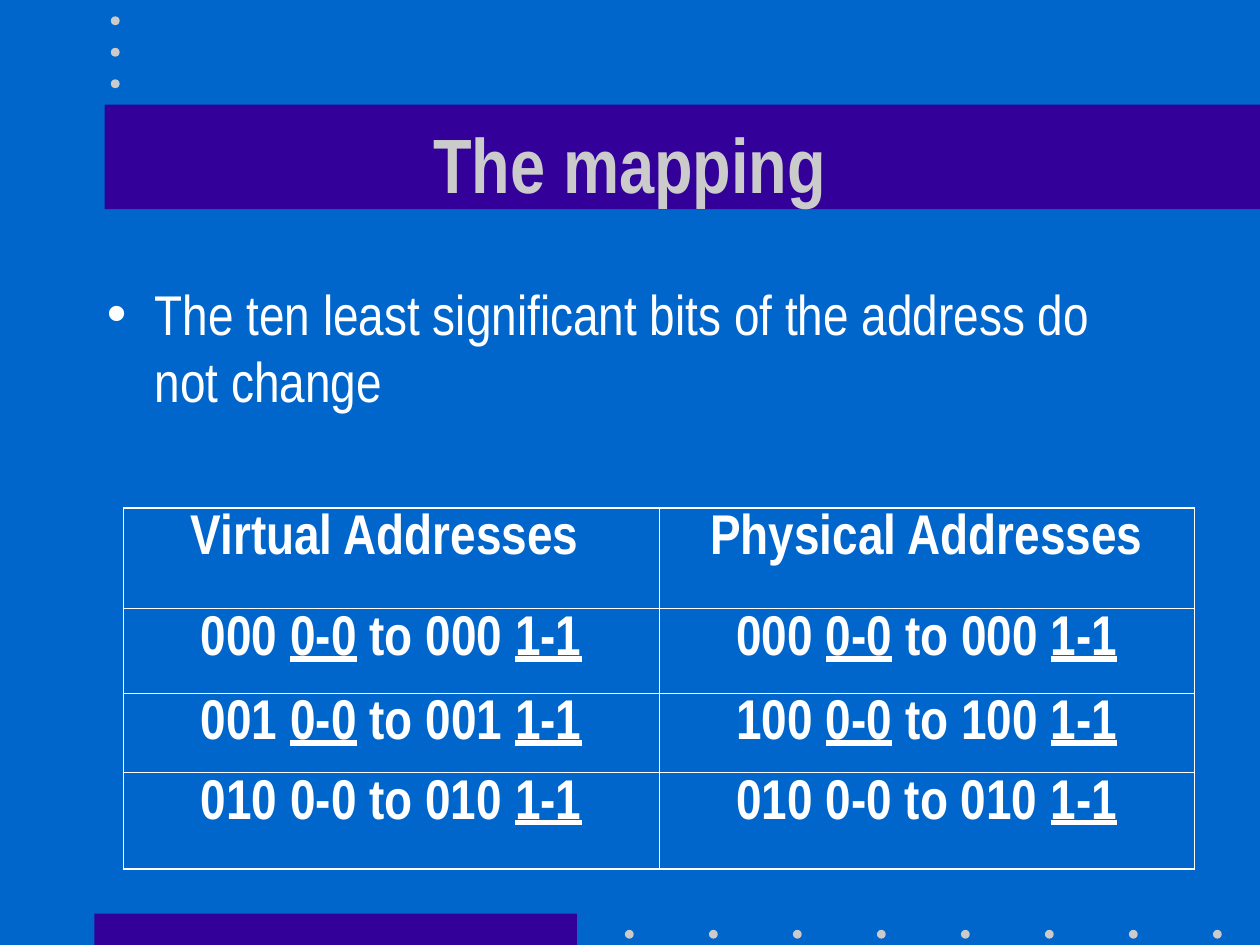
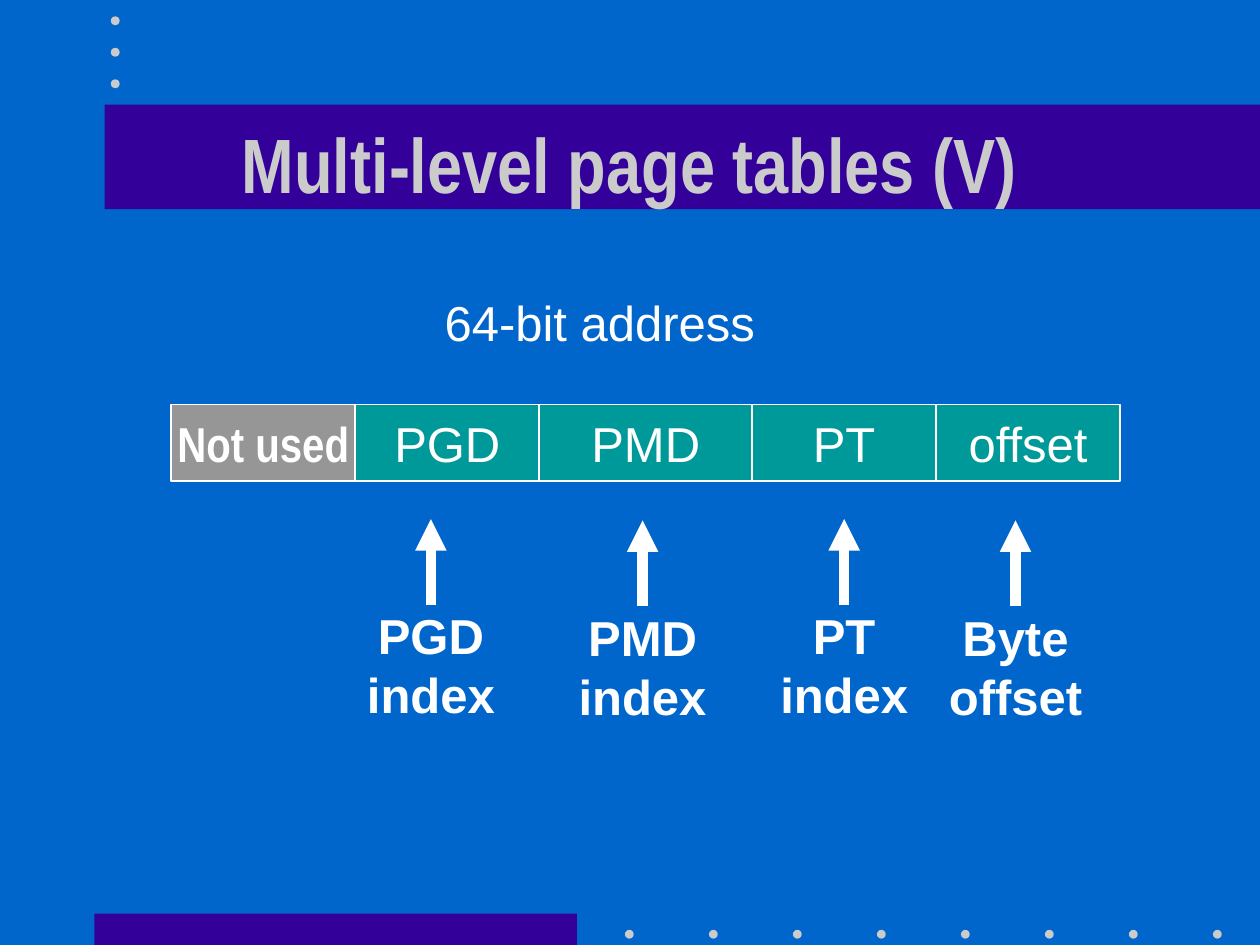
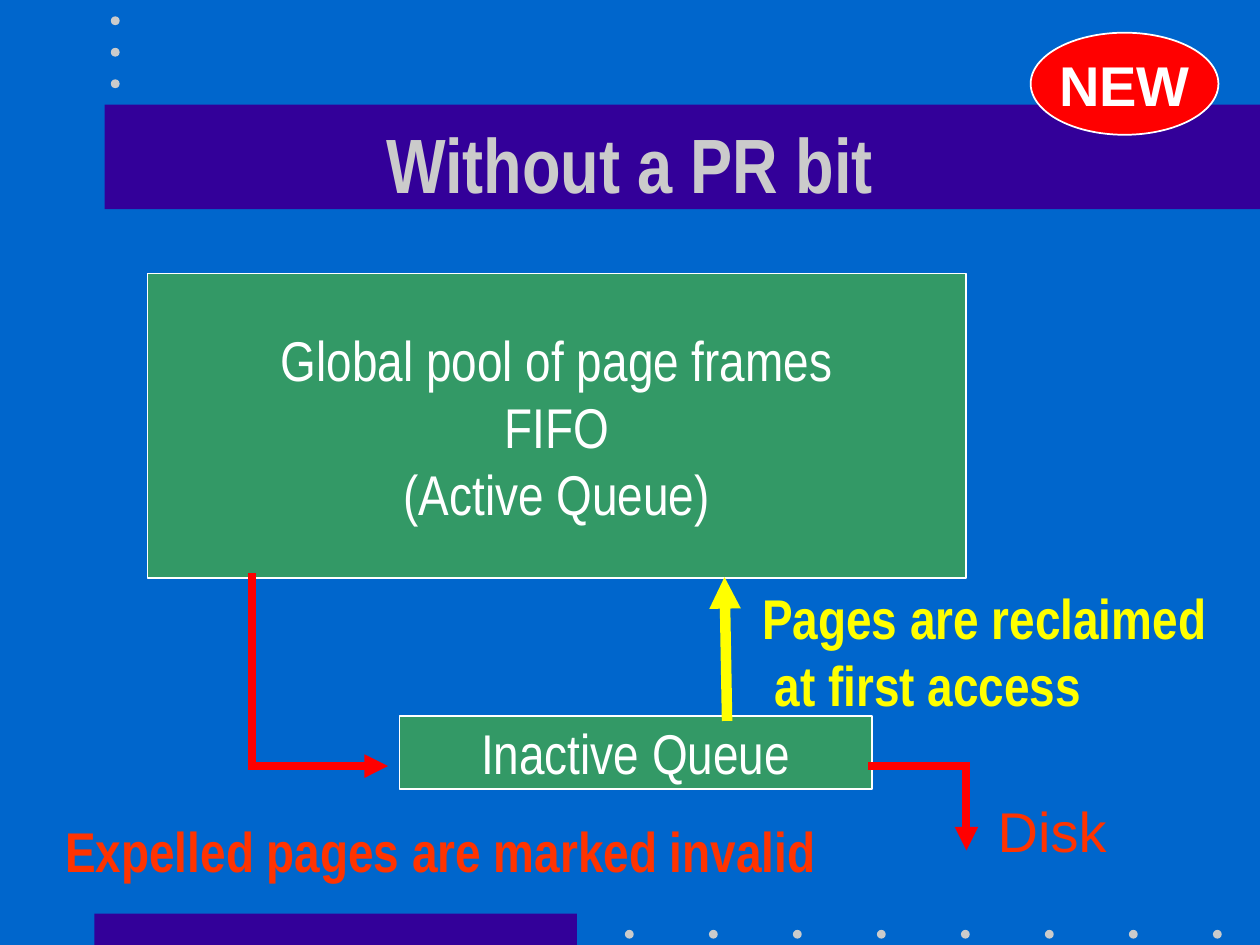
from lxml import etree
from pptx import Presentation
from pptx.dml.color import RGBColor
from pptx.enum.shapes import MSO_CONNECTOR, MSO_SHAPE
from pptx.enum.text import MSO_ANCHOR, MSO_AUTO_SIZE, PP_ALIGN
from pptx.oxml.ns import qn
from pptx.util import Inches, Pt

RECT, OVAL = MSO_SHAPE.RECTANGLE, MSO_SHAPE.OVAL
LINE = MSO_CONNECTOR.STRAIGHT
LEFT, MID = PP_ALIGN.LEFT, PP_ALIGN.CENTER
TOP, HALF = MSO_ANCHOR.TOP, MSO_ANCHOR.MIDDLE
FIXED = MSO_AUTO_SIZE.NONE

HUES = {
    "back": "0066CC", "band": "330099", "dot": "CBCBCB", "white": "FFFFFF",
    "gray": "969696", "teal": "009999", "green": "339966", "red": "FF0000",
    "flame": "FF3300", "yellow": "FFFF00",
}
SANS, SLIM = "Arial", "Arial Narrow"

BULLET = "The ten least significant bits of the address do not change"
ROWS = [
    (0.8, "Virtual Addresses ", "Physical Addresses"),
    (0.67, "000 _0-0_ to 000 _1-1_", "000 _0-0_ to 000 _1-1_"),
    (0.63, "001 _0-0_ to 001 _1-1_", "100 _0-0_ to 100 _1-1_"),
    (0.77, "010 0-0 to 010 _1-1_", "010 0-0 to 010 _1-1_"),
]
FIELDS = [
    ("Not used", 1.46, "gray", SLIM, True),
    ("PGD", 1.46, "teal", SANS, False),
    ("PMD", 1.69, "teal", SANS, False),
    ("PT", 1.46, "teal", SANS, False),
    ("offset", 1.46, "teal", SANS, False),
]
LABELS = [
    ("PGD\nindex", 3.42, 4.76),
    ("PMD\nindex", 5.1, 4.77),
    ("PT\nindex", 6.7, 4.76),
    ("Byte\noffset", 8.06, 4.77),
]
POOL = ("Global pool of page frames", "FIFO", "(Active Queue)")
BOXES = [
    (POOL, (1.17, 2.17, 6.5, 2.42)),
    (("Inactive Queue",), (3.17, 5.68, 3.75, 0.58)),
]
PATHS = [
    [(2, 4.58), (2, 6.08), (3.08, 6.08)],
    [(6.92, 6.08), (7.67, 6.08), (7.67, 6.75)],
]
NOTES = [
    (("Disk",), (7.82, 6.27, 1.1, 0.64), "flame", SANS, False),
    (("Expelled pages are marked invalid",), (0.42, 6.43, 6.22, 0.64), "flame", SLIM, True),
    (("Pages are reclaimed", " at first access"), (5.95, 4.58, 3.8, 1.17), "yellow", SLIM, True),
]


def rgb(hue):
    return RGBColor.from_string(HUES[hue])


def area(box):
    return [Inches(n) for n in box]


def write(frame, lines, size=32, font=SLIM, hue="white", bold=False,
          align=MID, anchor=HALF, wrap=False, fit=FIXED, before=0):
    frame.word_wrap = wrap
    frame.auto_size = fit
    frame.vertical_anchor = anchor
    for n, line in enumerate(lines):
        para = frame.add_paragraph() if n else frame.paragraphs[0]
        para.alignment = align
        para.space_before = Pt(before)
        for k, part in enumerate(line.split("_")):
            for j, bit in enumerate(part.split("\n")):
                if j:
                    para.add_line_break()
                if not bit:
                    continue
                run = para.add_run()
                run.text = bit
                run.font.size = Pt(size)
                run.font.name = font
                run.font.bold = bold
                run.font.underline = k % 2 == 1
                run.font.color.rgb = rgb(hue)


def shape(slide, kind, box, fill, edge=None):
    item = slide.shapes.add_shape(kind, *area(box))
    item.shadow.inherit = False
    item.fill.solid()
    item.fill.fore_color.rgb = rgb(fill)
    if edge:
        item.line.color.rgb = rgb(edge)
        item.line.width = Pt(1)
    else:
        item.line.fill.background()
    return item.text_frame


def label(slide, lines, box, **style):
    frame = slide.shapes.add_textbox(*area(box)).text_frame
    write(frame, lines, anchor=TOP, wrap=True, **style)
    return frame


def link(slide, start, end, hue, width, arrow=True):
    item = slide.shapes.add_connector(LINE, *area(start + end))
    item.line.color.rgb = rgb(hue)
    item.line.width = Pt(width)
    line = item.line._get_or_add_ln()
    line.set("cap", "sq")
    if arrow:
        etree.SubElement(line, qn("a:tailEnd"), type="triangle")
    etree.SubElement(item._element.spPr, qn("a:effectLst"))


def border(cell, side, width):
    props = cell._tc.get_or_add_tcPr()
    edge = etree.SubElement(props, qn("a:ln" + side), w=str(Pt(width)))
    fill = etree.SubElement(edge, qn("a:solidFill"))
    etree.SubElement(fill, qn("a:srgbClr"), val=HUES["white"])


def start(deck, title):
    slide = deck.slides.add_slide(deck.slide_layouts[5])
    shape(slide, RECT, (0.75, 7.25, 3.83, 0.25), "band")
    shape(slide, RECT, (0.83, 0.83, 9.17, 0.83), "band")
    dots = [(4.96 + n * 2 / 3, 7.38) for n in range(8)]
    dots += [(0.88, 0.13 + n * 0.25) for n in range(3)]
    for x, y in dots:
        shape(slide, OVAL, (x, y, 0.07, 0.07), "dot")
    head = slide.shapes.title
    head.left, head.top, head.width, head.height = area((0.75, 0.67, 8.5, 1.25))
    write(head.text_frame, [title], size=44, hue="dot", bold=True, wrap=True)
    slide.shapes._spTree.append(head._element)
    return slide


def mapping(deck):
    slide = start(deck, "The mapping")
    frame = label(slide, [BULLET], (0.75, 2.17, 8.5, 4.5), align=LEFT, before=8)
    props = frame.paragraphs[0]._p.get_or_add_pPr()
    props.set("marL", str(Inches(0.38)))
    props.set("indent", str(Inches(-0.38)))
    etree.SubElement(props, qn("a:buFont"), typeface=SANS)
    etree.SubElement(props, qn("a:buChar"), char="•")

    high = sum(row[0] for row in ROWS)
    grid = slide.shapes.add_table(len(ROWS), 2, *area((0.98, 4.03, 8.5, high))).table
    grid.first_row = grid.horz_banding = False
    last = len(ROWS) - 1
    for r, (tall, *texts) in enumerate(ROWS):
        grid.rows[r].height = Inches(tall)
        for c, text in enumerate(texts):
            cell = grid.cell(r, c)
            outer = {"L": c == 0, "R": c == 1, "T": r == 0, "B": r == last}
            for side, out in outer.items():
                border(cell, side, 1.08 if out else 0.45)
            cell.fill.background()
            cell.vertical_anchor = TOP
            write(cell.text_frame, [text], bold=True, anchor=None,
                  wrap=None, fit=None, before=8)


def levels(deck):
    slide = start(deck, "Multi-level page tables (V)")
    label(slide, ["64-bit address"], (3.43, 2.27, 2.72, 0.57),
          size=28, font=SANS, align=LEFT)
    x = 1.36
    for text, wide, fill, font, bold in FIELDS:
        frame = shape(slide, RECT, (x, 3.21, wide, 0.61), fill, "white")
        write(frame, [text], size=28, font=font, bold=bold)
        x += wide
    wide = 1.3
    for text, x, y in LABELS:
        label(slide, [text], (x - wide / 2, y, wide, 1.04),
              size=28, font=SANS, bold=True)
        link(slide, (x, y), (x, y - 0.64), "white", 6)


def queues(deck):
    slide = start(deck, "Without a PR bit")
    for lines, box in BOXES:
        write(shape(slide, RECT, box, "green", "white"), lines)
    for first, bend, end in PATHS:
        link(slide, first, bend, "red", 4.5, arrow=False)
        link(slide, bend, end, "red", 4.5)
    for lines, box, hue, font, bold in NOTES:
        label(slide, lines, box, hue=hue, font=font, bold=bold, align=LEFT)
    link(slide, (5.77, 5.68), (5.75, 4.58), "yellow", 6)
    badge = shape(slide, OVAL, (8.18, 0.26, 1.49, 0.81), "red", "white")
    write(badge, ["NEW"], font=SANS, bold=True)


def main():
    deck = Presentation()
    deck.slide_width, deck.slide_height = Inches(10), Inches(7.5)
    back = deck.slide_master.background.fill
    back.solid()
    back.fore_color.rgb = rgb("back")
    for build in (mapping, levels, queues):
        build(deck)
    deck.save("out.pptx")


if __name__ == "__main__":
    main()
